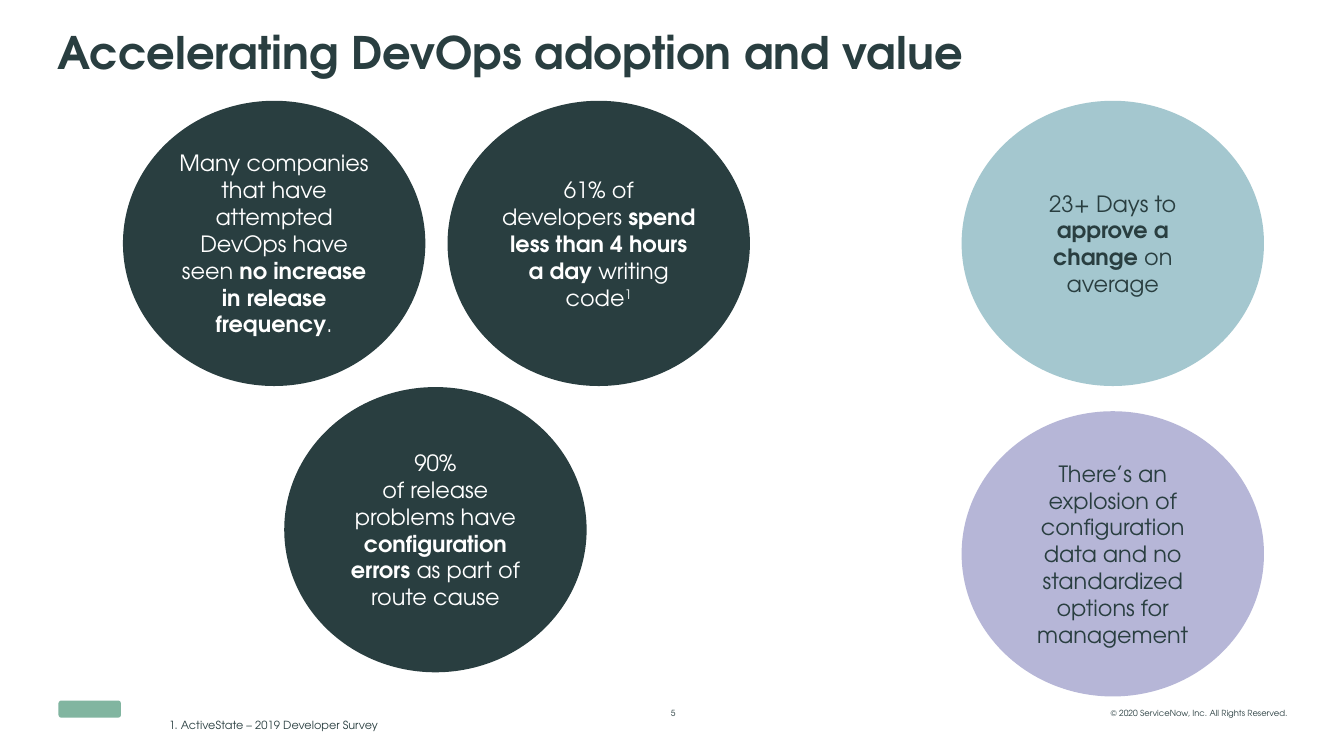
import pptx
import pptx.util
import pptx.dml.color
import pptx.enum.shapes
import pptx.enum.text
from dataclasses import dataclass

Pt = pptx.util.Pt
Align = pptx.enum.text.PP_ALIGN
Anchor = pptx.enum.text.MSO_ANCHOR
Preset = pptx.enum.shapes.MSO_SHAPE


@dataclass(frozen=True)
class Theme:
    font: str = "TeX Gyre Adventor"
    dark: str = "293E40"
    white: str = "FFFFFF"
    teal: str = "A4C7CF"
    lilac: str = "B6B6D7"
    green: str = "81B5A0"
    title_size: int = 32
    fact_size: int = 16
    note_size: int = 8
    footer_size: int = 6


THEME = Theme()
TITLE = "Accelerating DevOps adoption and value"

FACTS = [
    (87.84, 72, THEME.dark, THEME.white, [[
        ("Many companies that have attempted DevOps have seen ", ""),
        ("no increase in release frequency", "bold"), (".", "")]]),
    (319.68, 72, THEME.dark, THEME.white, [[
        ("61% of developers ", ""), ("spend less than 4 hours a day ", "bold"),
        ("writing code", ""), ("1", "superscript")]]),
    (686.88, 72, THEME.teal, THEME.dark, [[
        ("23+ Days to ", ""), ("approve a change ", "bold"), ("on average", "")]]),
    (686.88, 293.76, THEME.lilac, THEME.dark, [[
        ("There’s an explosion of configuration data and no standardized "
         "options for management", "")]]),
    (203.04, 276.48, THEME.dark, THEME.white, [
        [("90%", "")],
        [("of release problems have ", ""), ("configuration errors ", "bold"),
         ("as part of route cause", "")]]),
]
FACT_WIDTH, FACT_HEIGHT = 216, 203.76

SMALL_TEXTS = [
    ("5", (461.52, 501.12, 38.88, 17.28), THEME.footer_size, Align.CENTER, Anchor.MIDDLE),
    ("© 2020 ServiceNow, Inc. All Rights Reserved.",
     (635.04, 501.12, 291.6, 17.28), THEME.footer_size, Align.RIGHT, Anchor.MIDDLE),
    ("1. ActiveState – 2019 Developer Survey",
     (113.76, 509.76, 216, 17.28), THEME.note_size, Align.LEFT, Anchor.TOP),
]
MARK_AREA = (41.76, 500.4, 44.64, 12.24)


def points(area):
    return [Pt(length) for length in area]


def rgb(color):
    return pptx.dml.color.RGBColor.from_string(color)


def style(para, size, color, align):
    para.alignment = align
    para.font.name = THEME.font
    para.font.size = Pt(size)
    para.font.color.rgb = rgb(color)


def add_title(page):
    box = page.shapes.title
    box.left, box.top, box.width, box.height = points((33.84, 3.6, 905.76, 52.56))
    frame = box.text_frame
    frame.text = TITLE
    frame.auto_size = pptx.enum.text.MSO_AUTO_SIZE.NONE
    frame.vertical_anchor = Anchor.BOTTOM
    frame.margin_left = frame.margin_right = Pt(7.2)
    frame.margin_top = frame.margin_bottom = Pt(0)
    para = frame.paragraphs[0]
    style(para, THEME.title_size, THEME.dark, Align.LEFT)
    para.font.bold = True
    para.line_spacing = 0.85
    para.space_before = Pt(0)


def add_plain_shape(page, preset, area, fill):
    shape = page.shapes.add_shape(preset, *points(area))
    shape.shadow.inherit = False
    shape.fill.solid()
    shape.fill.fore_color.rgb = rgb(fill)
    shape.line.fill.background()
    return shape


def add_fact(page, left, top, fill, color, paragraphs):
    area = (left, top, FACT_WIDTH, FACT_HEIGHT)
    frame = add_plain_shape(page, Preset.OVAL, area, fill).text_frame
    frame.word_wrap = True
    frame.vertical_anchor = Anchor.MIDDLE
    for index, spans in enumerate(paragraphs):
        para = frame.add_paragraph() if index else frame.paragraphs[0]
        style(para, THEME.fact_size, color, Align.CENTER)
        for text, emphasis in spans:
            span = para.add_run()
            span.text = text
            if emphasis == "bold":
                span.font.bold = True
            elif emphasis == "superscript":
                span._r.get_or_add_rPr().set("baseline", "30000")


def add_small_text(page, text, area, size, align, anchor):
    frame = page.shapes.add_textbox(*points(area)).text_frame
    frame.word_wrap = True
    frame.vertical_anchor = anchor
    frame.text = text
    style(frame.paragraphs[0], size, THEME.dark, align)


def main():
    deck = pptx.Presentation()
    deck.slide_width, deck.slide_height = Pt(960), Pt(540)
    page = deck.slides.add_slide(deck.slide_layouts.get_by_name("Title Only"))
    add_title(page)
    add_plain_shape(page, Preset.ROUNDED_RECTANGLE, MARK_AREA, THEME.green)
    for fact in FACTS:
        add_fact(page, *fact)
    for small_text in SMALL_TEXTS:
        add_small_text(page, *small_text)
    deck.save("out.pptx")


if __name__ == "__main__":
    main()
